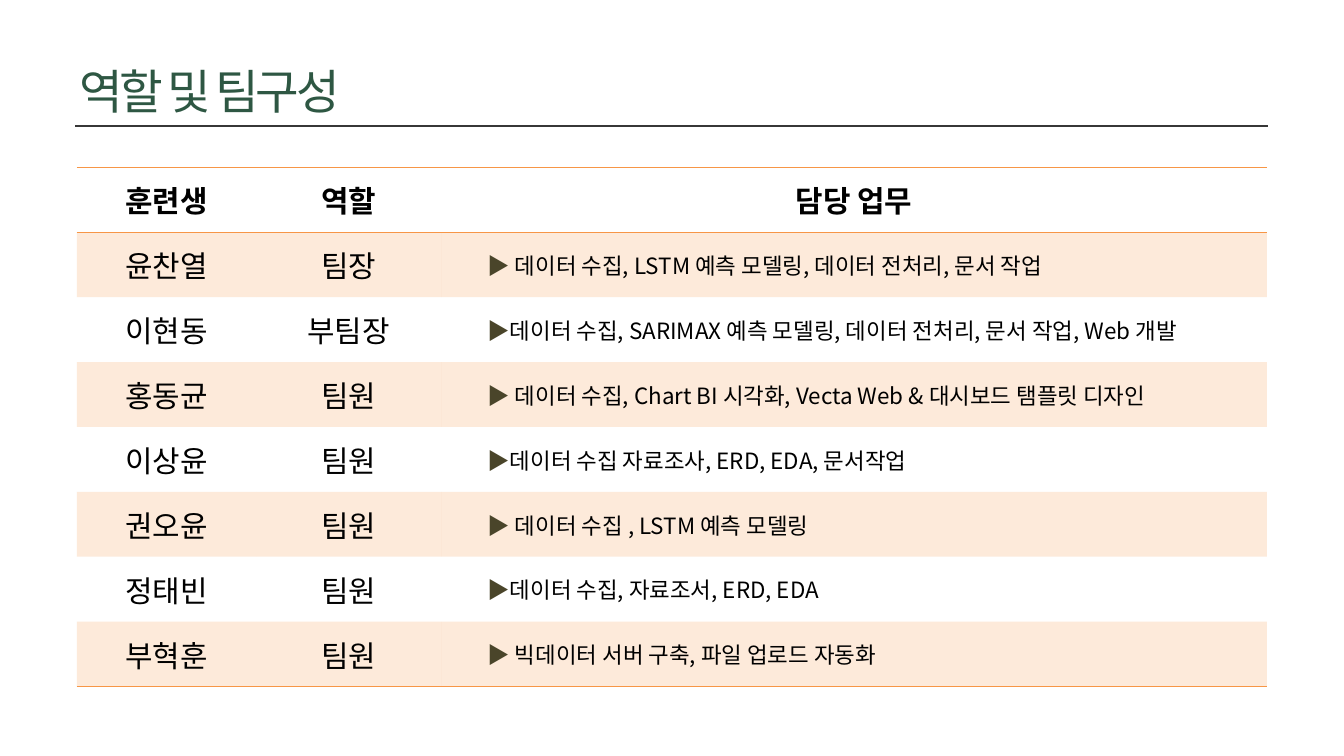
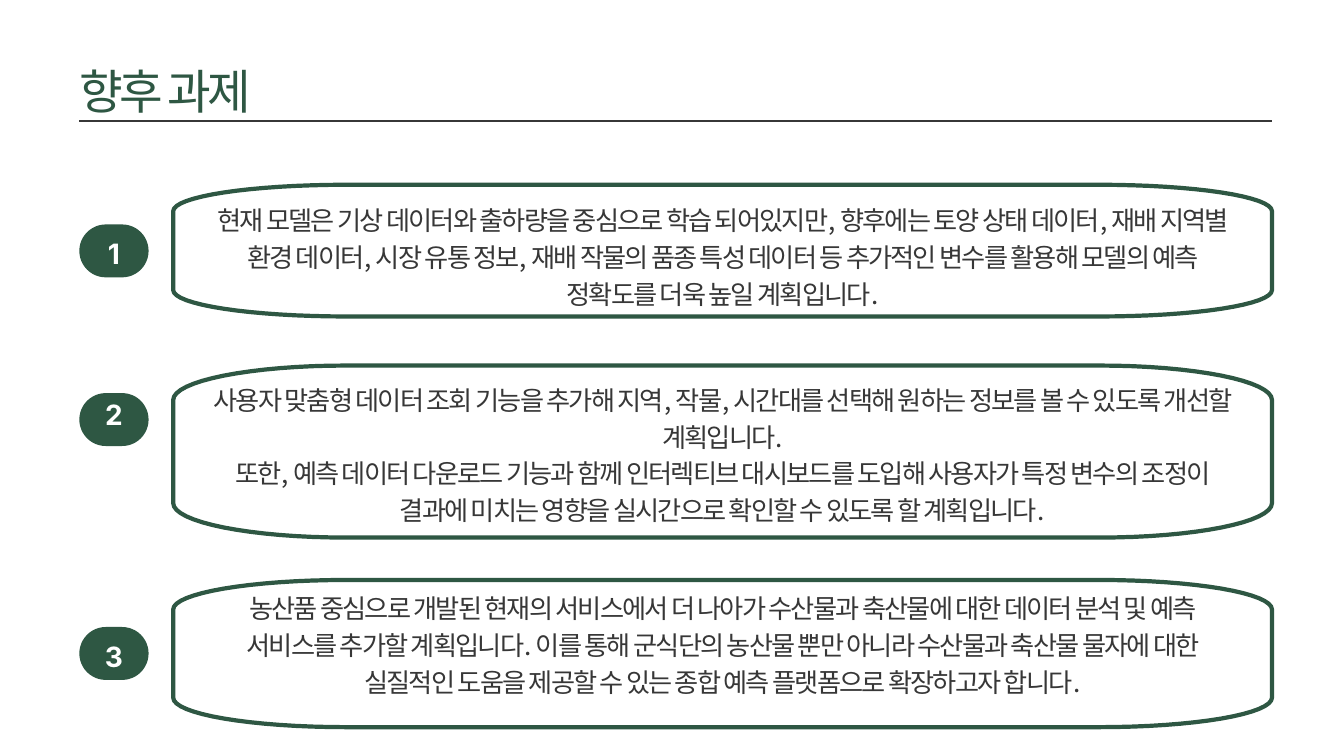
import math
from dataclasses import dataclass

from lxml import etree
from pptx import Presentation
from pptx.dml.color import RGBColor
from pptx.enum import shapes, text
from pptx.oxml import ns
from pptx.util import Pt


@dataclass(frozen=True)
class Theme:
    green: str = "2E5743"
    ink: str = "373737"
    black: str = "000000"
    white: str = "FFFFFF"
    orange: str = "F79646"
    marker: str = "4A452A"
    marker_edge: str = "939597"
    body_font: str = "Noto Sans CJK KR"
    table_font: str = "Noto Sans CJK JP"
    number_font: str = "Inter"
    title_size: float = 50.8
    body_size: float = 28.1
    number_size: float = 30
    name_size: float = 32
    task_size: float = 24
    plain_table: str = "{2D5ABB26-0587-4C30-8999-92F81FD0307C}"


# XML helpers
def add_line_element(parent, tag, color, width):
    line = etree.SubElement(parent, ns.qn(tag), w=str(Pt(width)))
    fill = etree.SubElement(line, ns.qn("a:solidFill"))
    etree.SubElement(fill, ns.qn("a:srgbClr"), val=color)


def write(para, words, *, size, font, color, bold=False, spacing=None, outline=None):
    span = para.add_run()
    span.text = words
    props = span.font._element
    if outline:
        add_line_element(props, "a:ln", outline, 1)
    span.font.size = Pt(size)
    span.font.bold = bold
    span.font.color.rgb = RGBColor.from_string(color)
    span.font.name = font
    if spacing:
        props.set("spc", str(round(spacing * 100)))


class Builder:
    def __init__(self, theme):
        self.theme = theme
        self.deck = Presentation()
        self.deck.slide_width, self.deck.slide_height = Pt(1440), Pt(810)
        self.page = None

    def new_page(self, title, rule_left, rule_top):
        self.page = self.deck.slides.add_slide(self.deck.slide_layouts[6])
        self.rule(rule_left, rule_top, 1278.4)
        self.text(85, 56.9, 745, 66.2, [title], leading=71.1,
                  size=self.theme.title_size, font=self.theme.body_font,
                  color=self.theme.green, spacing=-3.4)

    def rule(self, left, top, width):
        line = self.page.shapes.add_connector(
            shapes.MSO_CONNECTOR.STRAIGHT, Pt(left), Pt(top), Pt(left + width), Pt(top))
        line.line.color.rgb = RGBColor.from_string(self.theme.ink)
        line.line.width = Pt(1.5)
        etree.SubElement(line._element.spPr, ns.qn("a:effectLst"))

    def text(self, left, top, width, height, paragraphs, *, leading, inset=0, side=0,
             align=text.PP_ALIGN.LEFT, middle=False, **style):
        box = self.page.shapes.add_textbox(Pt(left), Pt(top), Pt(width), Pt(height))
        frame = box.text_frame
        frame.word_wrap = True
        frame.margin_left = frame.margin_right = Pt(inset + side)
        frame.margin_top = frame.margin_bottom = Pt(inset)
        if middle:
            frame.vertical_anchor = text.MSO_ANCHOR.MIDDLE
        else:
            frame.auto_size = text.MSO_AUTO_SIZE.SHAPE_TO_FIT_TEXT
        for index, words in enumerate(paragraphs):
            para = frame.add_paragraph() if index else frame.paragraphs[0]
            para.alignment = align
            para.line_spacing = Pt(leading)
            write(para, words, **style)

    def badge(self, number, top, label_top):
        left, width = 85, 74.2
        pill = self.page.shapes.add_shape(
            shapes.MSO_SHAPE.ROUNDED_RECTANGLE, Pt(left), Pt(top), Pt(width), Pt(56.7))
        pill.adjustments[0] = 0.5
        pill.shadow.inherit = False
        pill.fill.solid()
        pill.fill.fore_color.rgb = RGBColor.from_string(self.theme.green)
        pill.line.fill.background()
        self.text(left, label_top, width, width, [str(number)], leading=42, inset=4,
                  align=text.PP_ALIGN.CENTER, middle=True, size=self.theme.number_size,
                  font=self.theme.number_font, color=self.theme.white, bold=True)

    def soft_frame(self, left, top, width, height):
        """Outline with wide, shallow elliptical corners."""
        rx, ry, steps = 185, height * 0.2, 16
        points = []
        for corner, (x, y) in enumerate((
                (left + width - rx, top + ry),
                (left + width - rx, top + height - ry),
                (left + rx, top + height - ry),
                (left + rx, top + ry))):
            for step in range(steps + 1):
                angle = math.pi / 2 * (corner - 1 + step / steps)
                points.append((Pt(x + rx * math.cos(angle)), Pt(y + ry * math.sin(angle))))
        outline = self.page.shapes.build_freeform(*points[0])
        outline.add_line_segments(points[1:], close=True)
        shape = outline.convert_to_shape()
        shape.shadow.inherit = False
        shape.fill.background()
        shape.line.color.rgb = RGBColor.from_string(self.theme.green)
        shape.line.width = Pt(4.5)

    def cell(self, cell, *, edges=(), tinted=False):
        cell.vertical_anchor = text.MSO_ANCHOR.MIDDLE
        props = cell._tc.get_or_add_tcPr()
        for edge in edges:
            add_line_element(props, edge, self.theme.orange, 1)
        if not tinted:
            cell.fill.background()
            return
        cell.fill.solid()
        cell.fill.fore_color.rgb = RGBColor.from_string(self.theme.orange)
        for color in props.findall(ns.qn("a:solidFill") + "/" + ns.qn("a:srgbClr")):
            etree.SubElement(color, ns.qn("a:alpha"), val="20000")

    def team_table(self, left, top, widths, row_height, header, members):
        theme = self.theme
        rows = [header, *members]
        frame = self.page.shapes.add_table(
            len(rows), len(widths), Pt(left), Pt(top),
            Pt(sum(widths)), Pt(row_height * len(rows)))
        for style in frame._element.iter(ns.qn("a:tableStyleId")):
            style.text = theme.plain_table
        table = frame.table
        for column, width in zip(table.columns, widths):
            column.width = Pt(width)
        for r, values in enumerate(rows):
            table.rows[r].height = Pt(row_height)
            edges = ("a:lnT", "a:lnB") if r == 0 else ("a:lnB",) if r == len(members) else ()
            for c, words in enumerate(values):
                cell = table.cell(r, c)
                self.cell(cell, edges=edges, tinted=r % 2 == 1)
                para = cell.text_frame.paragraphs[0]
                if r and c == 2:
                    para._p.get_or_add_pPr().set("marL", str(Pt(42.5)))
                    write(para, "▶ " if r % 2 else "▶", size=theme.task_size,
                          font=theme.table_font, color=theme.marker, bold=True,
                          outline=theme.marker_edge)
                    write(para, words, size=theme.task_size,
                          font=theme.table_font, color=theme.black)
                else:
                    para.alignment = text.PP_ALIGN.CENTER
                    write(para, words, size=theme.name_size, font=theme.table_font,
                          color=theme.black, bold=r == 0)


HEADER = ("훈련생", "역할", "담당 업무")
MEMBERS = [
    ("윤찬열", "팀장", "데이터 수집, LSTM 예측 모델링, 데이터 전처리, 문서 작업"),
    ("이현동", "부팀장", "데이터 수집, SARIMAX 예측 모델링, 데이터 전처리, 문서 작업, Web 개발"),
    ("홍동균", "팀원", "데이터 수집, Chart BI 시각화, Vecta Web & 대시보드 탬플릿 디자인"),
    ("이상윤", "팀원", "데이터 수집 자료조사, ERD, EDA, 문서작업"),
    ("권오윤", "팀원", "데이터 수집 , LSTM 예측 모델링"),
    ("정태빈", "팀원", "데이터 수집, 자료조서, ERD, EDA"),
    ("부혁훈", "팀원", "빅데이터 서버 구축, 파일 업로드 자동화"),
]

# Frame top and height, text top and height, badge top, number top, paragraphs
PLANS = [
    (198, 141.1, 213.8, 115.2, 240.5, 231.8, [
        "현재 모델은 기상 데이터와 출하량을 중심으로 학습 되어있지만, 향후에는 토양 상태 데이터, "
        "재배 지역별 환경 데이터, 시장 유통 정보, 재배 작물의 품종 특성 데이터 등 추가적인 변수를 "
        "활용해 모델의 예측 정확도를 더욱 높일 계획입니다."]),
    (391.7, 184.3, 406.1, 154.8, 421.2, 403.9, [
        "사용자 맞춤형 데이터 조회 기능을 추가해 지역, 작물, 시간대를 선택해 원하는 정보를 "
        "볼 수 있도록 개선할 계획입니다.",
        "또한, 예측 데이터 다운로드 기능과 함께 인터렉티브 대시보드를 도입해 사용자가 특정 변수의 "
        "조정이 결과에 미치는 영향을 실시간으로 확인할 수 있도록 할 계획입니다."]),
    (621.4, 157.7, 629.3, 115.2, 671.8, 663.1, [
        "농산품 중심으로 개발된 현재의 서비스에서 더 나아가 수산물과 축산물에 대한 데이터 분석 및 "
        "예측 서비스를 추가할 계획입니다. 이를 통해 군식단의 농산물 뿐만 아니라 수산물과 축산물 "
        "물자에 대한 실질적인 도움을 제공할 수 있는 종합 예측 플랫폼으로 확장하고자 합니다."]),
]


def main():
    theme = Theme()
    builder = Builder(theme)

    # Roles and team
    builder.new_page("역할 및 팀구성", 80.6, 135)
    builder.team_table(82.3, 179.3, (192.3, 198, 884.9), 69.55, HEADER, MEMBERS)

    # Future work
    builder.new_page("향후 과제", 85, 129.6)
    for number, plan in enumerate(PLANS, start=1):
        top, height, text_top, text_height, badge_top, label_top, paragraphs = plan
        builder.soft_frame(185.6, top, 1177.2, height)
        builder.badge(number, badge_top, label_top)
        builder.text(213.1, text_top, 1121.8, text_height, paragraphs, leading=39.3,
                     side=10, align=text.PP_ALIGN.CENTER, size=theme.body_size,
                     font=theme.body_font, color=theme.ink, spacing=-1.9)

    builder.deck.save("out.pptx")


if __name__ == "__main__":
    main()
